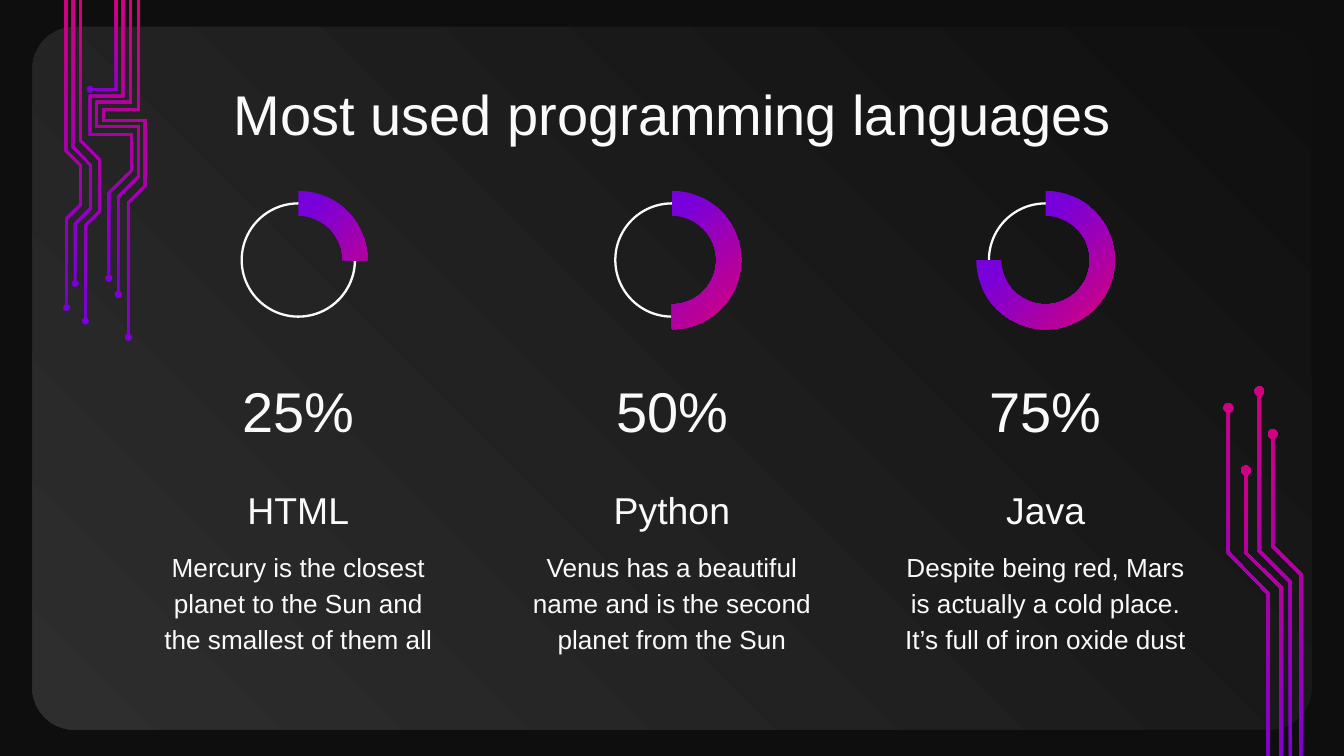
from math import asin, atan2, cos, hypot, pi, sin

from pptx import Presentation
from pptx.dml.color import RGBColor
from pptx.enum.shapes import MSO_SHAPE
from pptx.enum.text import MSO_ANCHOR, MSO_AUTO_SIZE, PP_ALIGN
from pptx.util import Inches, Pt

ROUND, DONUT, ARC = MSO_SHAPE.ROUNDED_RECTANGLE, MSO_SHAPE.DONUT, MSO_SHAPE.BLOCK_ARC
TOP, MIDDLE, BOTTOM = MSO_ANCHOR.TOP, MSO_ANCHOR.MIDDLE, MSO_ANCHOR.BOTTOM
CENTER, FIXED = PP_ALIGN.CENTER, MSO_AUTO_SIZE.NONE
WIDE = 10
HIGH = WIDE * 9 / 16
UNIT = 1 / 200
WHITE, VIOLET, PINK = "FAFAFA", "7800DA", "DA0078"
LEFT = [
    [(98, 0), (98, 224), (120, 246), (120, 305), (99, 325), (99, 458)],
    [(109, 0), (109, 219), (135, 246), (135, 310), (112, 333), (112, 422)],
    [(120, 0), (120, 210), (148, 238), (148, 315), (127, 336), (127, 478)],
    [(173, 0), (173, 133), (134, 133)],
    [(183, 0), (183, 143), (134, 143), (134, 200), (196, 200), (196, 254),
     (162, 287), (162, 414)],
    [(194, 0), (194, 152), (144, 152), (144, 188), (206, 188), (206, 263),
     (176, 293), (176, 438)],
    [(206, 0), (206, 163), (154, 163), (154, 179), (216, 179), (216, 276),
     (191, 301), (191, 502)],
]
RIGHT = [
    [(87, 568), (87, 323), (28, 263), (28, 47)],
    [(106, 568), (106, 314), (54, 263), (54, 140)],
    [(120, 568), (120, 306), (74, 260), (74, 22)],
    [(136, 568), (136, 295), (94, 253), (94, 86)],
]
ITEMS = [
    (25, "HTML", "Mercury is the closest planet to the Sun and the smallest of them all"),
    (50, "Python", "Venus has a beautiful name and is the second planet from the Sun"),
    (75, "Java", "Despite being red, Mars is actually a cold place. It’s full of iron oxide dust"),
]


def paint(fill, *tones, angle=0, start=0):
    """Fill with one hex colour, or a gradient between two."""
    if len(tones) == 1:
        fill.solid()
        fill.fore_color.rgb = RGBColor.from_string(tones[0])
        return
    fill.gradient()
    fill.gradient_angle = angle
    for stop, tone, place in zip(fill.gradient_stops, tones, (start, 1)):
        stop.color.rgb = RGBColor.from_string(tone)
        stop.position = place


def plain(shape):
    """Take away the outline and the shadow."""
    shape.line.fill.background()
    shape.shadow.inherit = False


def preset(slide, kind, box, *adjust):
    """Add a plain preset shape in a box."""
    shape = slide.shapes.add_shape(kind, *map(Inches, box))
    for i, value in enumerate(adjust):
        shape.adjustments[i] = value
    plain(shape)
    return shape


def write(shape, box, text, size, anchor=TOP, space=1.0):
    """Place a text shape and format its single paragraph."""
    shape.left, shape.top, shape.width, shape.height = map(Inches, box)
    frame = shape.text_frame
    frame.text = text
    frame.word_wrap = True
    frame.auto_size = FIXED
    frame.vertical_anchor = anchor
    frame.margin_left = frame.margin_right = Inches(0.1)
    frame.margin_top = frame.margin_bottom = Inches(0.1)
    para = frame.paragraphs[0]
    para.alignment = CENTER
    para.line_spacing = space
    font = para.runs[0].font
    font.name, font.size = "Arial", Pt(size)
    paint(font.fill, WHITE)


def outline(line, half, dot):
    """Return the outline of a mitred track that ends in a round dot."""
    heads = [atan2(y2 - y1, x2 - x1) for (x1, y1), (x2, y2) in zip(line, line[1:])]
    near, far = [], []
    for i, (x, y) in enumerate(line[:-1]):
        one, two = heads[max(i - 1, 0)], heads[i]
        nx, ny = -sin(one) - sin(two), cos(one) + cos(two)
        scale = 2 * half / hypot(nx, ny) ** 2
        near.append((x + nx * scale, y + ny * scale))
        far.append((x - nx * scale, y - ny * scale))
    x, y = line[-1]
    sweep, steps = pi - asin(half / dot), 24
    turns = [heads[-1] + sweep * (1 - 2 * i / steps) for i in range(steps + 1)]
    return near + [(x + dot * cos(t), y + dot * sin(t)) for t in turns] + far[::-1]


def circuit(slide, origin, lines, half, dot):
    """Draw a bundle of circuit tracks from an origin."""
    left, top = origin
    for line in lines:
        dots = [(Inches(left + x * UNIT), Inches(top + y * UNIT))
                for x, y in outline(line, half, dot)]
        pen = slide.shapes.build_freeform(*dots[0])
        pen.add_line_segments(dots[1:], close=True)
        track = pen.convert_to_shape()
        plain(track)
        paint(track.fill, VIOLET, PINK, angle=45)


def ring(slide, mid, top, share):
    """Draw a thin ring with a thick arc for a share in percent."""
    size, thick = 0.86, 1.03
    edge = (thick - size) / 2
    base = preset(slide, DONUT, (mid - size / 2, top + edge, size, size), 0.02)
    paint(base.fill, WHITE)
    end = (270 + 3.6 * share) % 360
    arc = preset(slide, ARC, (mid - thick / 2, top, thick, thick),
                 270 * 0.6, end * 0.6, 0.18)
    paint(arc.fill, VIOLET, PINK, angle=315, start=0.35)


def column(slide, box, share, name, note):
    """Stack ring, share, name and note in a column."""
    left, top, width, high = box
    ring(slide, left + width / 2, top, share)
    inset = 0.18 * width
    parts = [
        (inset, 1.39, 0.48, f"{share}%", 30, MIDDLE, 1.0),
        (0, 2.09, 0.55, name, 20, BOTTOM, 1.15),
        (0, 2.55, 0.96, note, 14, TOP, 1.15),
    ]
    row = high / 3.51
    for side, down, tall, text, size, anchor, space in parts:
        area = (left + side, top + down * row, width - 2 * side, tall * row)
        shape = slide.shapes.add_textbox(0, 0, 0, 0)
        write(shape, area, text, size, anchor, space)


def main():
    """Build the slide and save it."""
    deck = Presentation()
    deck.slide_width, deck.slide_height = Inches(WIDE), Inches(HIGH)
    slide = deck.slides.add_slide(deck.slide_layouts[5])
    paint(slide.background.fill, "0E0E0E")
    panel = preset(slide, ROUND, (0.24, 0.2, WIDE - 0.48, 5.23), 0.06)
    paint(panel.fill, "0F0F0F", "2E2E2E", angle=225)
    circuit(slide, (0, 0), LEFT, 1.8, 5)
    circuit(slide, (0.9 * WIDE, 2.8), RIGHT, 2.2, 7)
    title = slide.shapes.title
    slide.shapes._spTree.append(title._element)
    write(title, (0.79, 0.49, 8.43, 0.63), "Most used programming languages", 30)
    width, pitch = 2.37, 2.78
    for i, item in enumerate(ITEMS):
        left = (WIDE - width) / 2 + (i - 1) * pitch
        column(slide, (left, 1.42, width, 3.51), *item)
    deck.save("out.pptx")


if __name__ == "__main__":
    main()
